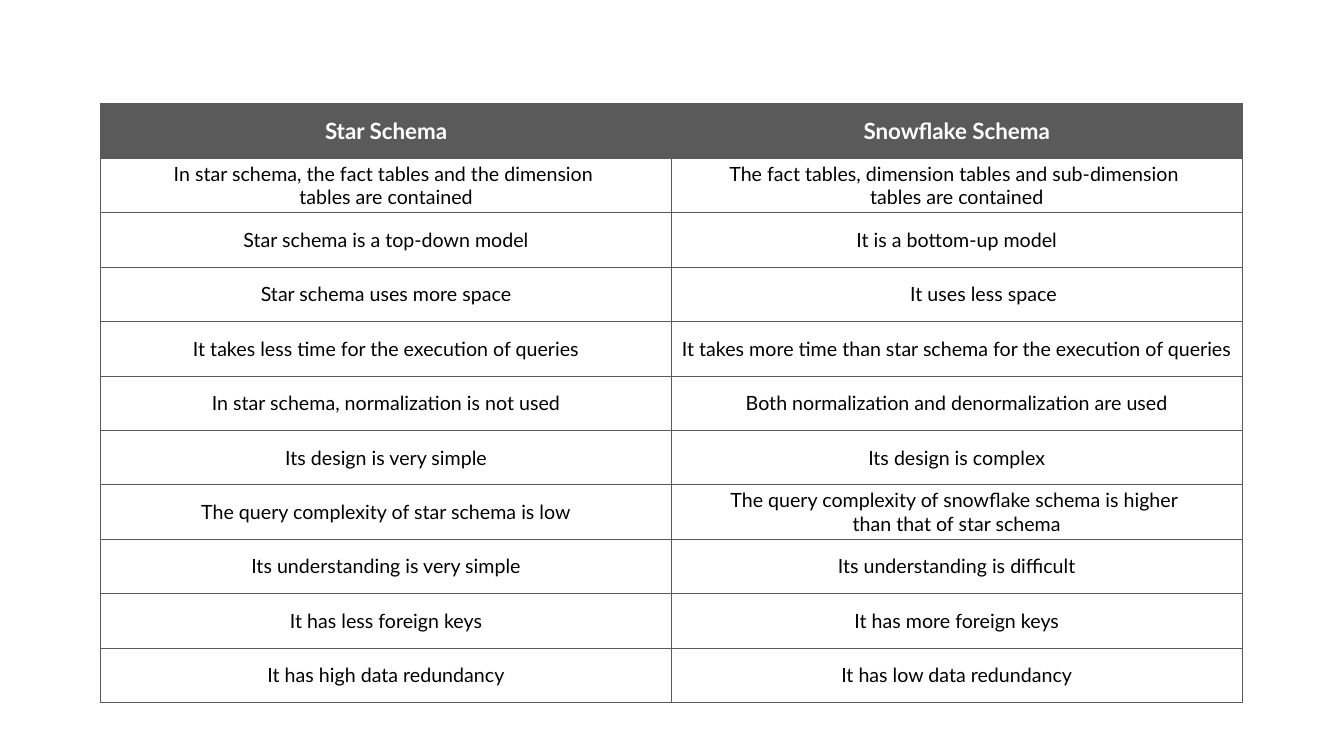
from pptx import Presentation
from pptx.dml.color import RGBColor as RGB
from pptx.enum.text import MSO_ANCHOR as ANCHOR, PP_ALIGN as ALIGN
from pptx.oxml import parse_xml
from pptx.oxml.ns import nsdecls, qn
from pptx.util import Pt
from copy import deepcopy

PX = 9525  # EMU per px, at 96 px to the inch
COLORS = {"header": "5A5A5A", "border": "5A5A5A", "light": "FFFFFF", "dark": "000000"}
LEFT, TOP, WIDTH, HEIGHT = 96, 99, 1087, 570

comparison = [
    ("Star Schema", "Snowflake Schema"),
    ("In star schema, the fact tables and the dimension \ntables are contained",
     "The fact tables, dimension tables and sub-dimension \ntables are contained"),
    ("Star schema is a top-down model", "It is a bottom-up model"),
    ("Star schema uses more space", "It uses less space"),
    ("It takes less time for the execution of queries",
     "It takes more time than star schema for the execution of queries"),
    ("In star schema, normalization is not used",
     "Both normalization and denormalization are used"),
    ("Its design is very simple", "Its design is complex"),
    ("The query complexity of star schema is low",
     "The query complexity of snowflake schema is higher \nthan that of star schema"),
    ("Its understanding is very simple", "Its understanding is difficult"),
    ("It has less foreign keys", "It has more foreign keys"),
    ("It has high data redundancy", "It has low data redundancy"),
]
left_insets = {"It uses less space": 51}


def write(frame, text, size=14, color="dark", bold=False):
    paragraph = frame.paragraphs[0]
    paragraph.alignment = ALIGN.CENTER
    for number, line in enumerate(text.split("\n")):
        if number:
            paragraph.add_line_break()
        run = paragraph.add_run()
        run.text = line
        run.font.name = "Lato"
        run.font.size = Pt(size)
        run.font.bold = bold
        run.font.color.rgb = RGB.from_string(COLORS[color])
    # Line breaks take the same format as the text around them
    for line_break in paragraph._p.findall(qn("a:br")):
        line_break.append(deepcopy(run._r.rPr))


def add_borders(cell):
    for side in ("lnL", "lnR", "lnT", "lnB"):
        cell._tc.get_or_add_tcPr().append(parse_xml(
            f'<a:{side} {nsdecls("a")} w="{Pt(0.75)}"><a:solidFill>'
            f'<a:srgbClr val="{COLORS["border"]}"/></a:solidFill></a:{side}>'))


# Slide
prs = Presentation()
prs.slide_width, prs.slide_height = 1280 * PX, 720 * PX
slide = prs.slides.add_slide(prs.slide_layouts[6])

# Comparison table
schemas = slide.shapes.add_table(len(comparison), 2, LEFT * PX, TOP * PX,
                                 WIDTH * PX, HEIGHT * PX).table
schemas.horz_banding = False
for column in schemas.columns:
    column.width = WIDTH * PX // 2

for row, texts in enumerate(comparison):
    schemas.rows[row].height = HEIGHT * PX // len(comparison)
    for col, text in enumerate(texts):
        cell = schemas.cell(row, col)
        cell.vertical_anchor = ANCHOR.MIDDLE
        cell.margin_left = left_insets.get(text, 0) * PX
        cell.margin_right = cell.margin_top = cell.margin_bottom = 0
        add_borders(cell)
        if row == 0:
            cell.fill.solid()
            cell.fill.fore_color.rgb = RGB.from_string(COLORS["header"])
            write(cell.text_frame, text, size=16, color="light", bold=True)
        else:
            cell.fill.background()
            write(cell.text_frame, text)

prs.save("out.pptx")
